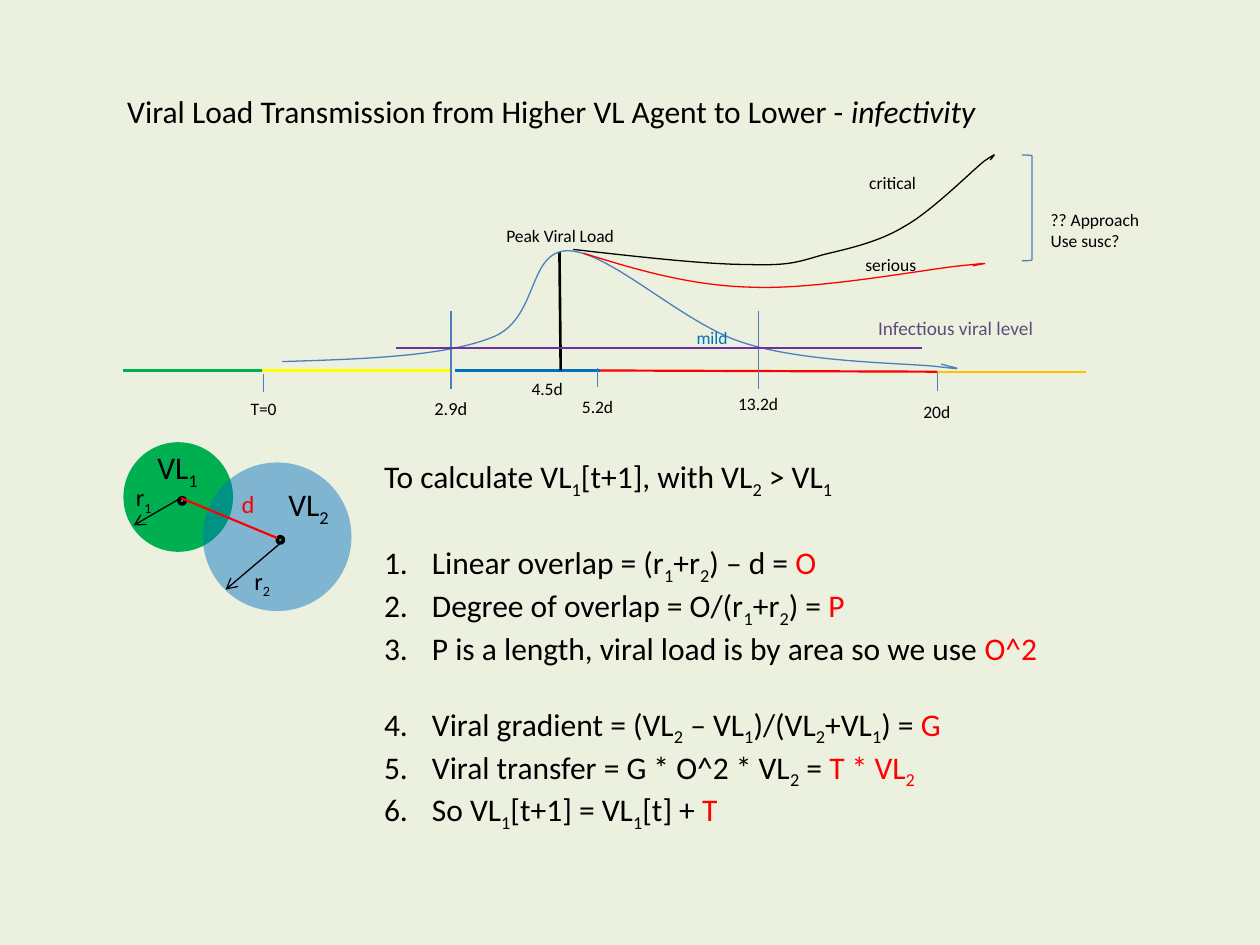
from dataclasses import dataclass

from lxml import etree
from pptx import Presentation
from pptx import util as u
from pptx.dml.color import RGBColor
from pptx.enum import shapes, text
from pptx.oxml.ns import qn


@dataclass(frozen=True)
class Theme:
    font: str = "Calibri"
    paper: str = "EBF1DE"
    ink: str = "000000"
    red: str = "FF0000"
    green: str = "00B050"
    yellow: str = "FFFF00"
    blue: str = "0070C0"
    orange: str = "FFC000"
    purple: str = "7030A0"
    violet: str = "604A7B"
    outline: str = "4B7EBC"
    dot: str = "4F81BD"
    body: float = 18
    radius: float = 14
    level: float = 11
    label: float = 10


THEME = Theme()


def inch(value):
    """Layout units are inches; lengths are handed over in centimetres."""
    return u.Cm(round(value * 2.54, 3))


def rgb(code):
    return RGBColor.from_string(code)


def set_line(shape, color, width):
    shape.line.color.rgb = rgb(color)
    shape.line.width = u.Pt(width)


def add_runs(paragraph, content, size, color=THEME.ink, italic=False):
    """An underscore lowers the one character that follows it."""
    first, *rest = content.split("_")
    pieces = [(first, False)]
    for part in rest:
        pieces += [(part[0], True), (part[1:], False)]
    for piece, lowered in pieces:
        if not piece:
            continue
        run = paragraph.add_run()
        run.text = piece
        run.font.name, run.font.size = THEME.font, u.Pt(size)
        run.font.color.rgb = rgb(color)
        run.font.italic = italic
        if lowered:
            run._r.get_or_add_rPr().set("baseline", "-25000")


def add_label(parent, box, content, size=THEME.label, color=THEME.ink):
    frame = parent.add_textbox(*map(inch, box)).text_frame
    frame.word_wrap = False
    for i, line in enumerate(content.split("\n")):
        paragraph = frame.add_paragraph() if i else frame.paragraphs[0]
        add_runs(paragraph, line, size, color)
    return frame


def add_line(parent, start, end, color, width=0.75, arrow=False):
    line = parent.add_connector(shapes.MSO_CONNECTOR.STRAIGHT, *map(inch, start + end))
    set_line(line, color, width)
    if arrow:
        etree.SubElement(line.line._get_or_add_ln(), qn("a:tailEnd"), type="arrow")
    etree.SubElement(line._element.spPr, qn("a:effectLst"))


def add_circle(parent, left, top, size, color, alpha=None, border=None):
    circle = parent.add_shape(shapes.MSO_SHAPE.OVAL, *map(inch, (left, top, size, size)))
    circle.shadow.inherit = False
    circle.fill.solid()
    circle.fill.fore_color.rgb = rgb(color)
    if alpha:
        tint = circle._element.spPr.find(".//" + qn("a:srgbClr"))
        etree.SubElement(tint, qn("a:alpha"), val=str(alpha * 1000))
    if border:
        set_line(circle, border, 2)
    else:
        circle.line.fill.background()


def add_curve(parent, box, knots, color):
    """Knots are one start point, then two handles and an end per segment."""
    builder = parent.build_freeform(*map(inch, knots[0]))
    builder.add_line_segments([tuple(map(inch, p)) for p in knots[3::3]], close=False)
    curve = builder.convert_to_shape()
    curve.left, curve.top, curve.width, curve.height = map(inch, box)
    # Straight segments become Bezier segments inside the given box
    outline = curve._element.spPr.find(".//" + qn("a:path"))
    outline.set("w", str(curve.width))
    outline.set("h", str(curve.height))
    for segment in list(outline):
        outline.remove(segment)
    segments = [("a:moveTo", knots[:1])]
    segments += [("a:cubicBezTo", knots[i:i + 3]) for i in range(1, len(knots), 3)]
    for tag, points in segments:
        segment = etree.SubElement(outline, qn(tag))
        for x, y in points:
            etree.SubElement(segment, qn("a:pt"), x=str(inch(x) - curve.left),
                             y=str(inch(y) - curve.top))
    curve.shadow.inherit = False
    curve.fill.background()
    set_line(curve, color, 0.75)


def add_title(slide):
    title = slide.shapes.title
    title.left, title.top, title.width, title.height = map(inch, (0.91, 0.68, 7.01, 0.4))
    frame = title.text_frame
    frame.word_wrap = False
    frame.auto_size = text.MSO_AUTO_SIZE.NONE
    frame.vertical_anchor = text.MSO_ANCHOR.TOP
    heading = frame.paragraphs[0]
    heading.alignment = text.PP_ALIGN.LEFT
    add_runs(heading, "Viral Load Transmission from Higher VL Agent to Lower - ", THEME.body)
    add_runs(heading, "infectivity", THEME.body, italic=True)


def add_overlap(parent):
    # Two agents with their centres
    add_circle(parent, 0.98, 3.51, 0.87, THEME.green)
    add_circle(parent, 1.61, 3.67, 1.18, THEME.blue, alpha=46)
    for left, top in ((2.2, 4.26), (1.42, 3.95)):
        add_circle(parent, left, top, 0.05, THEME.dot, border=THEME.ink)
    # Distance and radii
    add_line(parent, (1.43, 3.95), (2.2, 4.27), THEME.red, 1.25)
    add_label(parent, (1.82, 3.83, 0.31, 0.34), "d", THEME.radius, THEME.red)
    add_line(parent, (1.44, 3.95), (1.06, 4.17), THEME.ink, arrow=True)
    add_line(parent, (2.25, 4.29), (1.79, 4.68), THEME.ink, arrow=True)
    for name, left, top in (("r_1", 0.98, 3.78), ("r_2", 1.92, 4.44)):
        add_label(parent, (left, top, 0.34, 0.34), name, THEME.radius)
    for name, left, top in (("VL_1", 1.15, 3.51), ("VL_2", 2.19, 3.8)):
        add_label(parent, (left, top, 0.54, 0.4), name, THEME.body)


def add_formulas(parent):
    frame = add_label(parent, (2.95, 3.58, 5.44, 2.73),
                      "To calculate VL_1[t+1], with VL_2 > VL_1", THEME.body)
    # Gap in points above each step, then formula and result
    steps = [(24.5, "Linear overlap = (r_1+r_2) – d = ", "O"),
             (0, "Degree of overlap = O/(r_1+r_2) = ", "P"),
             (0, "P is a length, viral load is by area so we use ", "O^2"),
             (21.6, "Viral gradient = (VL_2 – VL_1)/(VL_2+VL_1) = ", "G"),
             (0, "Viral transfer = G * O^2 * VL_2 = ", "T * VL_2"),
             (0, "So VL_1[t+1] = VL_1[t] + ", "T")]
    for gap, formula, result in steps:
        step = frame.add_paragraph()
        step.space_before = u.Pt(gap)
        props = step._p.get_or_add_pPr()
        props.set("marL", str(inch(0.38)))
        props.set("indent", str(-inch(0.38)))
        etree.SubElement(props, qn("a:buFont"), typeface="+mj-lt")
        etree.SubElement(props, qn("a:buAutoNum"), type="arabicPeriod")
        add_runs(step, formula, THEME.body)
        add_runs(step, result, THEME.body, THEME.red)


def add_timeline(parent):
    # Stages of the infection
    for start, end, color in (((0.98, 2.94), (2.08, 2.94), THEME.green),
                              ((2.08, 2.94), (3.58, 2.94), THEME.yellow),
                              ((3.61, 2.94), (4.76, 2.94), THEME.blue),
                              ((4.76, 2.94), (7.44, 2.95), THEME.red),
                              ((7.44, 2.95), (8.62, 2.95), THEME.orange)):
        add_line(parent, start, end, color, 1.25)
    add_line(parent, (4.44, 2), (4.45, 2.94), THEME.ink, 1.5)
    # Courses: mild, serious, critical
    add_curve(parent, (2.24, 1.99, 5.36, 0.93),
              [(2.24, 2.87), (2.88, 2.85), (3.52, 2.83), (3.9, 2.68),
               (4.28, 2.54), (4.18, 1.99), (4.51, 1.99),
               (4.85, 2), (5.42, 2.57), (5.9, 2.72),
               (6.39, 2.88), (7.18, 2.88), (7.44, 2.91),
               (7.7, 2.94), (7.58, 2.92), (7.47, 2.89)], THEME.outline)
    add_curve(parent, (4.63, 2.01, 3.19, 0.27),
              [(4.63, 2.01), (5.05, 2.14), (5.48, 2.27), (5.98, 2.28),
               (6.48, 2.3), (7.33, 2.14), (7.62, 2.11),
               (7.91, 2.08), (7.82, 2.09), (7.72, 2.11)], THEME.red)
    add_curve(parent, (4.55, 1.23, 3.34, 0.87),
              [(4.55, 1.98), (5.08, 2.04), (5.61, 2.1), (5.94, 2.1),
               (6.27, 2.11), (6.33, 2.08), (6.54, 2.02),
               (6.75, 1.97), (6.98, 1.92), (7.19, 1.79),
               (7.4, 1.67), (7.7, 1.37), (7.81, 1.28),
               (7.93, 1.2), (7.89, 1.23), (7.86, 1.27)], THEME.ink)
    # Day marks and the infectious level
    for x, top, bottom in ((7.44, 2.95, 3.1), (4.74, 2.92, 3.07), (3.58, 2.47, 3.09),
                           (2.09, 2.97, 3.11), (6.02, 2.47, 3.09)):
        add_line(parent, (x, top), (x, bottom), THEME.outline)
    add_line(parent, (3.14, 2.76), (7.32, 2.76), THEME.purple, 1.25)
    bracket = parent.add_shape(shapes.MSO_SHAPE.RIGHT_BRACKET,
                               *map(inch, (8.11, 1.23, 0.08, 0.84)))
    bracket.shadow.inherit = False
    bracket.fill.background()
    set_line(bracket, THEME.outline, 0.75)
    # Labels
    for content, left, top, width in (("T=0", 1.89, 3.11, 0.41), ("5.2d", 4.52, 3.09, 0.45),
                                      ("4.5d", 4.12, 2.95, 0.45), ("20d", 7.23, 3.13, 0.42),
                                      ("13.2d", 5.76, 3.07, 0.53), ("critical", 6.8, 1.32, 0.58),
                                      ("serious", 6.77, 1.97, 0.61),
                                      ("Peak Viral Load", 3.92, 1.74, 1.07)):
        add_label(parent, (left, top, width, 0.27), content)
    add_label(parent, (3.35, 3.1, 0.47, 0.28), "2.9d", 10.5)
    add_label(parent, (5.43, 2.55, 0.45, 0.27), "mild", color=THEME.blue)
    add_label(parent, (8.24, 1.61, 0.91, 0.44), "?? Approach\nUse susc?")
    add_label(parent, (6.87, 2.46, 1.45, 0.29), "Infectious viral level",
              THEME.level, THEME.violet)


def main():
    deck = Presentation()
    deck.slide_width, deck.slide_height = u.Cm(25.4), u.Cm(19.05)
    slide = deck.slides.add_slide(deck.slide_layouts[5])
    slide.background.fill.solid()
    slide.background.fill.fore_color.rgb = rgb(THEME.paper)
    add_title(slide)
    add_overlap(slide.shapes)
    add_formulas(slide.shapes)
    add_timeline(slide.shapes.add_group_shape().shapes)
    deck.save("out.pptx")


if __name__ == "__main__":
    main()
